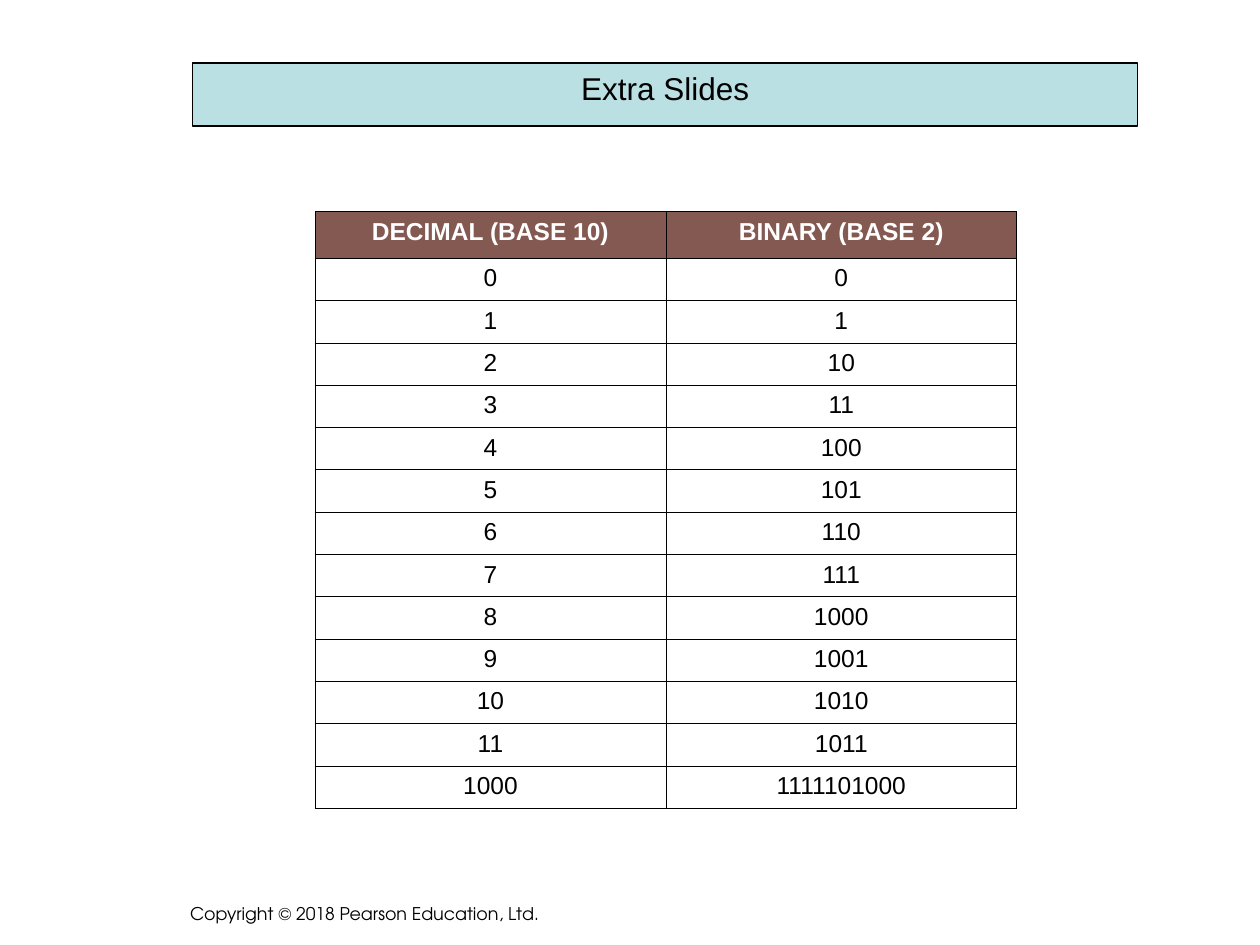
from dataclasses import dataclass

from lxml.etree import SubElement
from pptx import Presentation
from pptx.dml.color import RGBColor
from pptx.enum.shapes import MSO_SHAPE
from pptx.enum.text import MSO_ANCHOR, PP_ALIGN
from pptx.oxml.ns import qn
from pptx.util import Inches, Pt


@dataclass(frozen=True)
class Theme:
    black: str = "000000"
    white: str = "FFFFFF"
    banner: str = "BBE0E3"
    header: str = "845951"
    font: str = "Arial"
    footer_font: str = "TeX Gyre Adventor"
    title_size: float = 18
    table_size: float = 14
    footer_size: float = 10
    outline: float = 0.75
    border: float = 0.45


def write(frame, text, *, size, font, color, bold=False,
          align=PP_ALIGN.CENTER, anchor=MSO_ANCHOR.TOP):
    frame.word_wrap = True
    frame.vertical_anchor = anchor
    paragraph = frame.paragraphs[0]
    paragraph.alignment = align
    run = paragraph.add_run()
    run.text = text
    run.font.size = Pt(size)
    run.font.name = font
    run.font.bold = bold
    run.font.color.rgb = RGBColor.from_string(color)


def fill_solid(item, color):
    item.fill.solid()
    item.fill.fore_color.rgb = RGBColor.from_string(color)


def add_borders(cell, color, width):
    """Draw all four cell edges; they must precede the fill in the cell's XML."""
    properties = cell._tc.get_or_add_tcPr()
    for edge in ("a:lnL", "a:lnR", "a:lnT", "a:lnB"):
        line = SubElement(properties, qn(edge), w=str(Pt(width)))
        solid = SubElement(line, qn("a:solidFill"))
        SubElement(solid, qn("a:srgbClr"), val=color)


class SlideBuilder:
    """Places elements on a grid of 10 columns by 7.5 rows."""

    COLUMNS, ROWS = 10, 7.5

    def __init__(self, presentation, theme):
        self.theme = theme
        self.column = presentation.slide_width / self.COLUMNS
        self.row = presentation.slide_height / self.ROWS
        self.slide = presentation.slides.add_slide(presentation.slide_layouts[6])

    def area(self, left, top, width, height):
        return (round(left * self.column), round(top * self.row),
                round(width * self.column), round(height * self.row))

    def banner(self, text, *place):
        theme = self.theme
        shape = self.slide.shapes.add_shape(MSO_SHAPE.RECTANGLE, *self.area(*place))
        shape.shadow.inherit = False
        fill_solid(shape, theme.banner)
        shape.line.color.rgb = RGBColor.from_string(theme.black)
        shape.line.width = Pt(theme.outline)
        write(shape.text_frame, text, size=theme.title_size,
              font=theme.font, color=theme.black)

    def footer(self, text, *place):
        theme = self.theme
        box = self.slide.shapes.add_textbox(*self.area(*place))
        write(box.text_frame, text, size=theme.footer_size, font=theme.footer_font,
              color=theme.black, align=PP_ALIGN.LEFT, anchor=MSO_ANCHOR.BOTTOM)

    def table(self, rows, *place, header_height):
        theme = self.theme
        area = self.area(*place)
        table = self.slide.shapes.add_table(len(rows), len(rows[0]), *area).table
        table.horz_banding = False
        header = round(header_height * self.row)
        body = (area[3] - header) // (len(rows) - 1)
        for row_index, values in enumerate(rows):
            is_header = row_index == 0
            table.rows[row_index].height = header if is_header else body
            for column_index, value in enumerate(values):
                cell = table.cell(row_index, column_index)
                add_borders(cell, theme.black, theme.border)
                fill_solid(cell, theme.header if is_header else theme.white)
                write(cell.text_frame, value, size=theme.table_size, font=theme.font,
                      color=theme.white if is_header else theme.black, bold=is_header)


def main():
    presentation = Presentation()
    presentation.slide_width = Inches(10)
    presentation.slide_height = Inches(7.5)

    numbers = [*range(12), 1000]
    rows = [("DECIMAL (BASE 10)", "BINARY (BASE 2)")]
    rows += [(str(number), f"{number:b}") for number in numbers]

    builder = SlideBuilder(presentation, Theme())
    builder.footer("Copyright © 2018 Pearson Education, Ltd.", 1.41, 7.05, 3.08, 0.33)
    builder.table(rows, 2.5, 1.68, 5.57, 4.74, header_height=0.37)
    builder.banner("Extra Slides", 1.53, 0.5, 7.5, 0.5)
    presentation.save("out.pptx")


if __name__ == "__main__":
    main()
